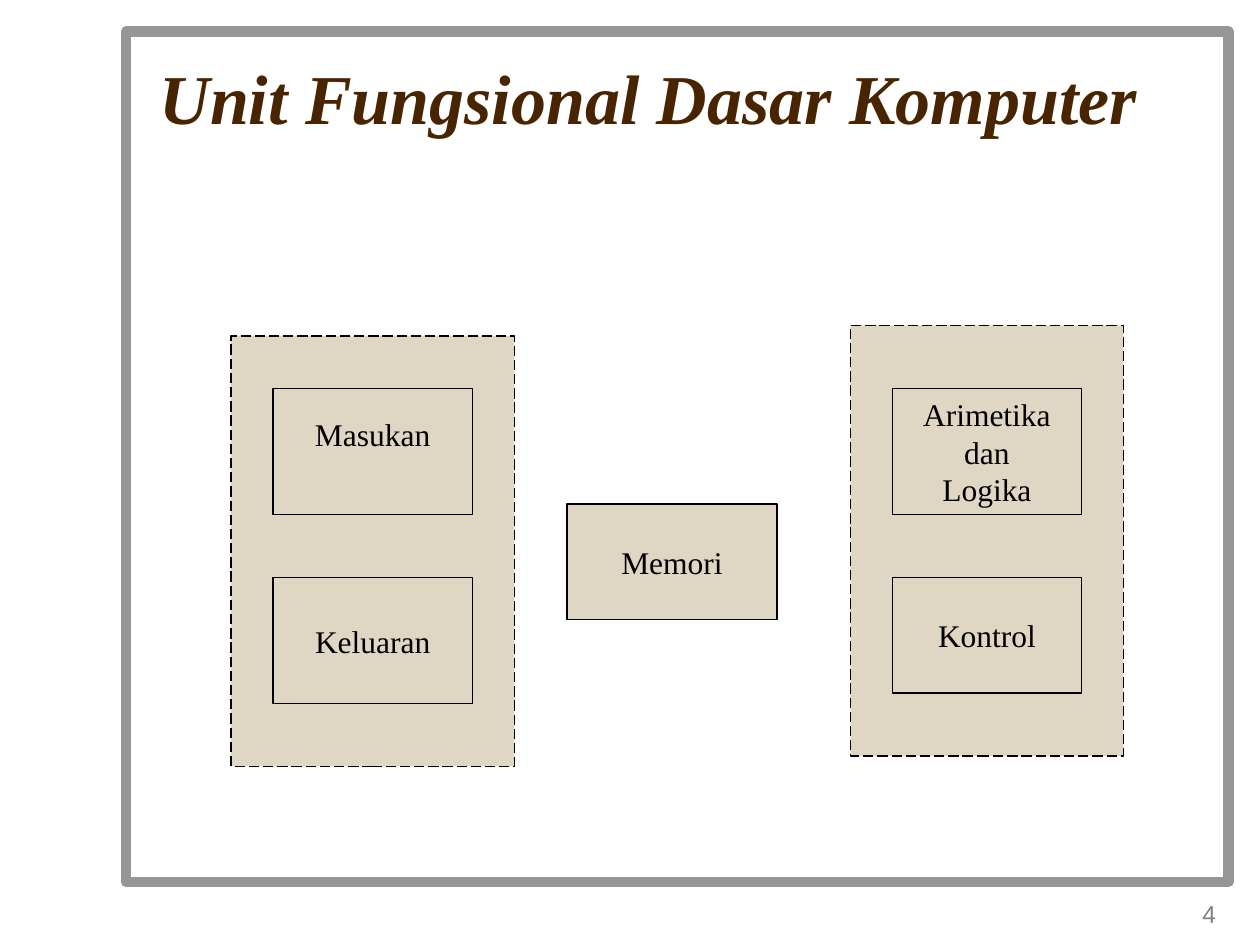
from dataclasses import dataclass

from pptx import Presentation
from pptx.dml.color import RGBColor
from pptx.enum.dml import MSO_LINE
from pptx.enum.shapes import MSO_SHAPE
from pptx.enum.text import MSO_ANCHOR, MSO_AUTO_SIZE, PP_ALIGN
from pptx.util import Emu, Pt


@dataclass(frozen=True)
class Theme:
    serif: str = "Times New Roman"
    sans: str = "Arial"
    paper: str = "FFFFFF"
    frame: str = "969696"
    title: str = "482400"
    box: str = "DFD6C3"
    ink: str = "000000"
    number: str = "808080"
    title_size: int = 40
    label_size: int = 18
    number_size: int = 14
    frame_line: float = 6
    box_line: float = 0.75


THEME = Theme()
PX = 7620  # EMU, 120 px to the inch
PAD_X, PAD_Y = 12, 6


def px(n):
    return Emu(n * PX)


def rgb(value):
    return RGBColor.from_string(value)


def set_text(sp, text, size, color, font=THEME.serif, align=PP_ALIGN.CENTER,
             anchor=MSO_ANCHOR.MIDDLE, wrap=True, bold=False, italic=False,
             top=PAD_Y, bottom=PAD_Y):
    """Fill a shape with text, one paragraph to each line."""
    tf = sp.text_frame
    tf.text = text
    tf.word_wrap = wrap
    tf.auto_size = MSO_AUTO_SIZE.NONE
    tf.vertical_anchor = anchor
    tf.margin_left = tf.margin_right = px(PAD_X)
    tf.margin_top, tf.margin_bottom = px(top), px(bottom)
    for p in tf.paragraphs:
        p.alignment = align
        p.space_before = Pt(0)
        for r in p.runs:
            r.font.name = font
            r.font.size = Pt(size)
            r.font.bold = bold
            r.font.italic = italic
            r.font.color.rgb = rgb(color)


def add_rect(slide, x, y, w, h, fill=THEME.box, line=THEME.ink,
             width=THEME.box_line, dash=None):
    sp = slide.shapes.add_shape(MSO_SHAPE.RECTANGLE, px(x), px(y), px(w), px(h))
    sp.shadow.inherit = False
    sp.fill.solid()
    sp.fill.fore_color.rgb = rgb(fill)
    sp.line.color.rgb = rgb(line)
    sp.line.width = Pt(width)
    if dash:
        sp.line.dash_style = dash
    return sp


def add_unit(slide, x, y, w, h, label, **fmt):
    sp = add_rect(slide, x, y, w, h)
    set_text(sp, label, THEME.label_size, THEME.ink, wrap=False, **fmt)


def add_group(slide, x, y, w, h, units, pad=40, pitch=180):
    """Draw a dashed panel with units stacked at an equal pitch.

    Each unit is (label, height, text format); units starts with the top offset.
    """
    top, *rows = units
    add_rect(slide, x, y, w, h, dash=MSO_LINE.LONG_DASH)
    for i, (label, height, fmt) in enumerate(rows):
        add_unit(slide, x + pad, y + top + i * pitch, w - 2 * pad, height,
                 label, **fmt)


def add_frame(slide, x, y, w, h):
    sp = add_rect(slide, x, y, w, h, THEME.paper, THEME.frame, THEME.frame_line)
    slide.shapes.title._element.addprevious(sp._element)


def add_title(slide, x, y, w, h, text):
    sp = slide.shapes.title
    sp.left, sp.top, sp.width, sp.height = px(x), px(y), px(w), px(h)
    set_text(sp, text, THEME.title_size, THEME.title, align=PP_ALIGN.LEFT,
             anchor=MSO_ANCHOR.TOP, bold=True, italic=True, top=2)


def add_number(slide, x, y, w, h, text):
    sp = slide.shapes.add_textbox(px(x), px(y), px(w), px(h))
    set_text(sp, text, THEME.number_size, THEME.number, font=THEME.sans,
             align=PP_ALIGN.RIGHT)


def main():
    prs = Presentation()
    prs.slide_width, prs.slide_height = px(1200), px(900)
    slide = prs.slides.add_slide(prs.slide_layouts[5])

    add_frame(slide, 120, 30, 1050, 810)
    add_number(slide, 920, 840, 250, 60, "4")
    add_title(slide, 140, 50, 1020, 150, "Unit Fungsional Dasar Komputer")
    add_group(slide, 220, 320, 270, 410, [
        50, ("Masukan", 120, {"bottom": 40}), ("Keluaran", 120, {})])
    add_unit(slide, 540, 480, 200, 110, "Memori")
    add_group(slide, 810, 310, 260, 410, [
        60, ("Arimetika\ndan\nLogika", 120, {}), ("Kontrol", 110, {})])

    prs.save("out.pptx")


if __name__ == "__main__":
    main()
